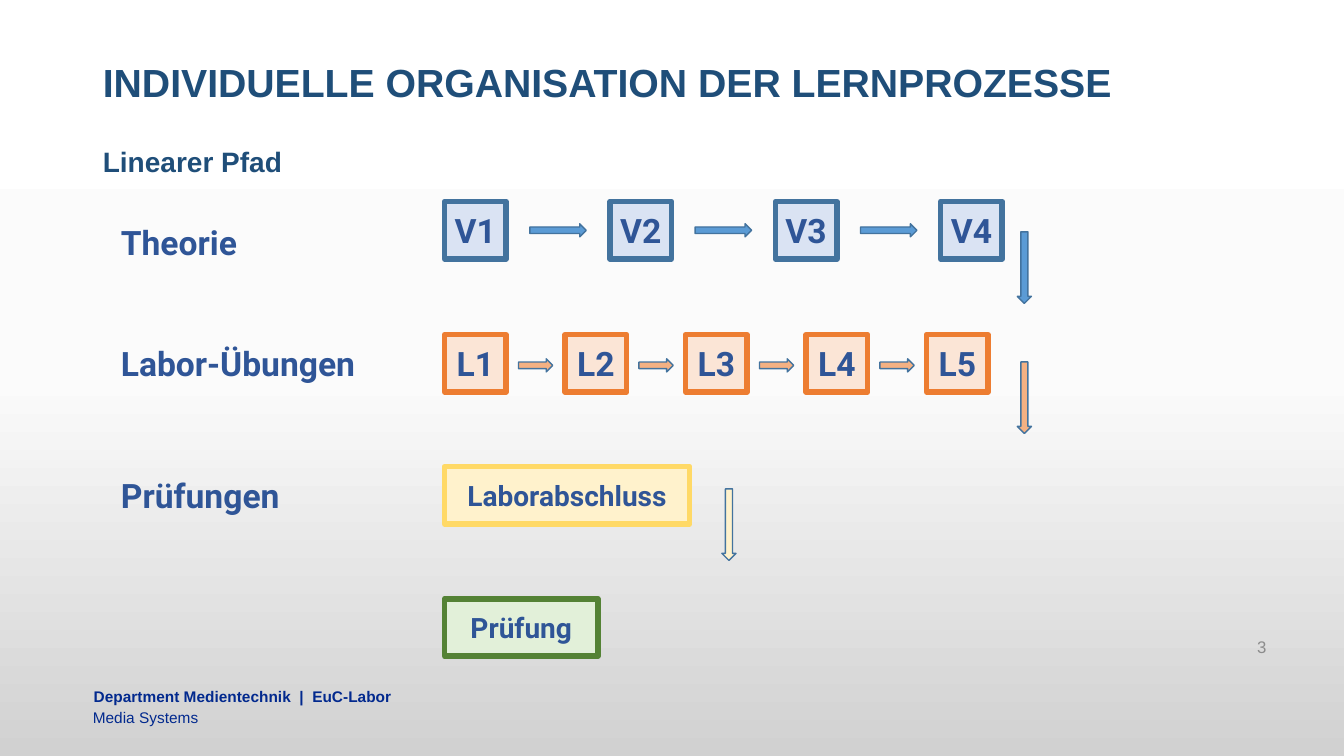
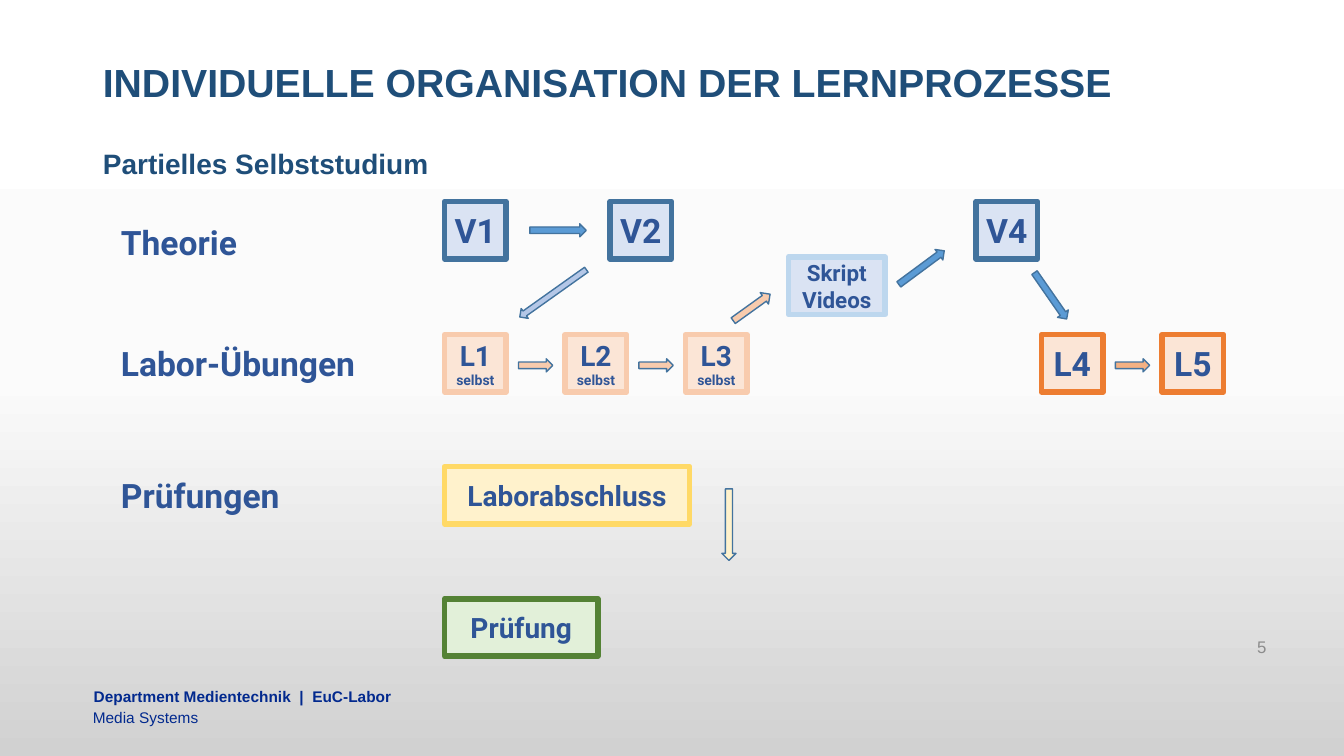
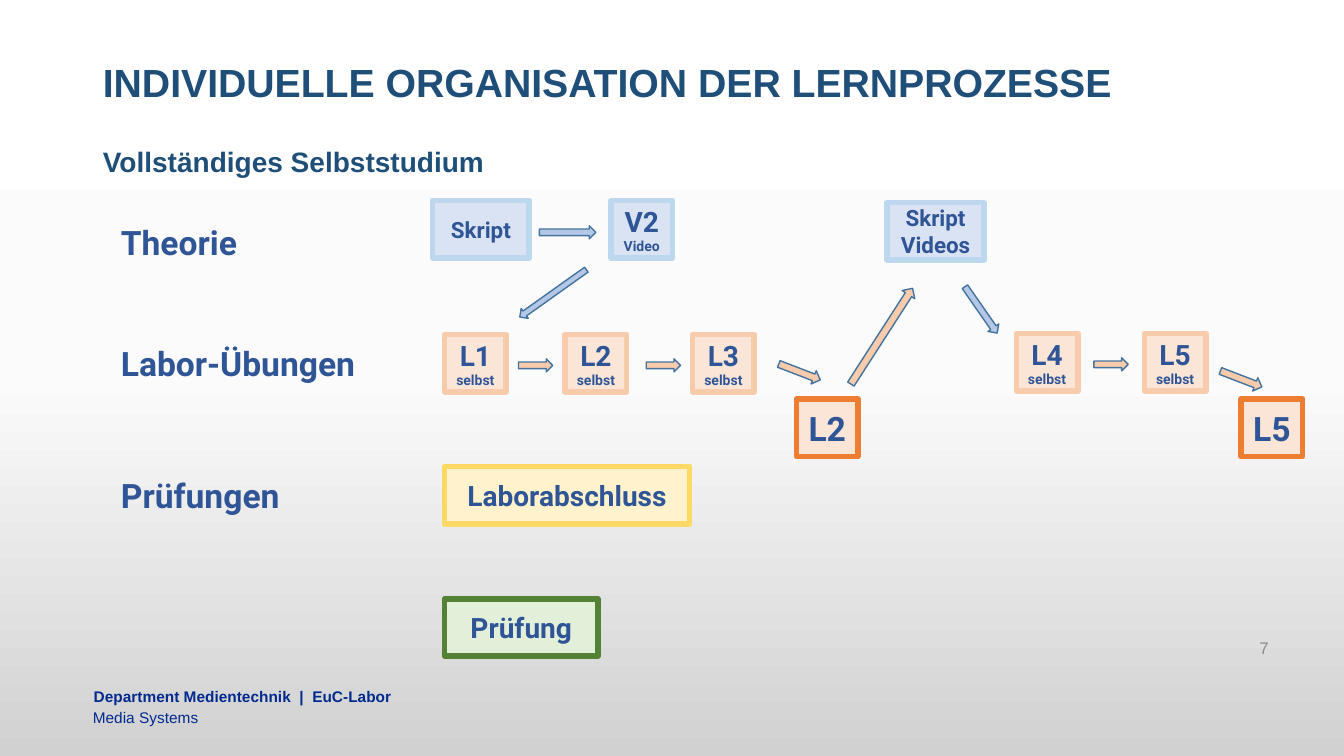
"""Builds three slides on linear, partly and fully self-directed learning paths."""
import copy

import pptx
import pptx.dml.color
import pptx.enum.shapes
import pptx.enum.text
import pptx.oxml.ns
import pptx.util

Inches, Pt = pptx.util.Inches, pptx.util.Pt
SHAPE = pptx.enum.shapes.MSO_SHAPE
ALIGN = pptx.enum.text.PP_ALIGN
ANCHOR = pptx.enum.text.MSO_ANCHOR

C = {
    "title": "1F4E79", "footer": "02298E", "number": "8C8C8C", "label": "2F5597",
    "blue": "5B9BD5", "blue_mid": "B4C7E7", "blue_soft": "BDD7EE", "blue_pale": "DAE3F3",
    "steel": "43739E", "orange": "ED7D31", "orange_mid": "F4B183",
    "orange_soft": "F8CBAD", "orange_pale": "FBE5D6", "yellow": "FFD966",
    "yellow_pale": "FFF2CC", "green": "548235", "green_pale": "E2F0D9",
}
BACKGROUND = [(0, "FFFFFF"), (0.5, "FBFBFB"), (1, "D1D1D1")]
TITLE = "INDIVIDUELLE ORGANISATION DER LERNPROZESSE"
FOOTER = [
    ("Department Medientechnik  |  EuC-Labor", True, (0.93, 6.82, 8.5, 0.2)),
    ("Media Systems", False, (0.92, 7.02, 8.52, 0.19)),
]
ROW_LABELS = [("Theorie", 2.15), ("Labor-Übungen", 3.35), ("Prüfungen", 4.66)]

LEFT, BOX_H, SMALL = 4.41, 0.57, 10
THEORY_Y, LAB_Y, TEST_Y, EXAM_Y = 2, 3.32, 4.63, 5.94
LAB_PITCH = 1.195

STYLES = {
    "lecture": dict(fill="blue_pale", line="steel", w=0.61, size=24,
                    arrow="blue", length=0.56, drop=0.22),
    "video": dict(fill="blue_pale", line="blue_soft", w=0.61, size=20),
    "script": dict(fill="blue_pale", line="blue_soft", w=0.96, size=16, sub=16),
    "lab": dict(fill="orange_pale", line="orange", w=0.61, size=24,
                arrow="orange_mid", length=0.34, drop=0.24),
    "self_lab": dict(fill="orange_pale", line="orange_soft", w=0.61, size=20,
                     arrow="orange_soft", length=0.34, drop=0.24),
    "lab_test": dict(fill="yellow_pale", line="yellow", w=2.43, size=20),
    "exam": dict(fill="green_pale", line="green", w=1.52, size=20),
}
TESTS = [
    ("lab_test", LEFT, TEST_Y, 0, ["Laborabschluss"]),
    ("exam", LEFT, EXAM_Y, 0, ["Prüfung"]),
]
TO_EXAM = ("yellow_pale", 7.16, 4.85, 0.14, 0.71, 0)
TO_LAB = ("blue_mid", 5.08, 2.85, 0.81, 0.12, 144.6)

SLIDES = [
    {
        "number": ("3", 9.55, 6.22), "subtitle": ("Linearer Pfad", 1.42),
        "chains": [
            ("lecture", LEFT, THEORY_Y, 1.64, ["V1", "V2", "V3", "V4"]),
            ("lab", LEFT, LAB_Y, LAB_PITCH, ["L1", "L2", "L3", "L4", "L5"]),
        ],
        "arrows": [
            ("blue", 10.09, 2.3, 0.14, 0.71, 0),
            ("orange_mid", 10.09, 3.59, 0.14, 0.71, 0),
            TO_EXAM,
        ],
    },
    {
        "number": ("5", 9.55, 6.22), "subtitle": ("Partielles Selbststudium", 1.44),
        "chains": [
            ("lecture", LEFT, THEORY_Y, 1.64, ["V1", "V2"]),
            ("script", 7.82, 2.55, 0, ["Skript\nVideos"]),
            ("lecture", 9.68, THEORY_Y, 0, ["V4"]),
            ("self_lab", LEFT, LAB_Y, LAB_PITCH, ["L1\nselbst", "L2\nselbst", "L3\nselbst"]),
            ("lab", 10.33, LAB_Y, LAB_PITCH, ["L4", "L5"]),
        ],
        "arrows": [
            TO_LAB,
            ("orange_soft", 7.23, 2.98, 0.45, 0.14, 324.3),
            ("blue", 8.86, 2.59, 0.56, 0.13, 323.5),
            ("blue", 10.14, 2.87, 0.56, 0.13, 55.2),
            TO_EXAM,
        ],
    },
    {
        "number": ("7", 9.57, 6.23), "subtitle": ("Vollständiges Selbststudium", 1.42),
        "chains": [
            ("script", 4.29, 1.99, 0, ["Skript"]),
            ("video", 6.06, 1.99, 0, ["V2\nVideo"]),
            ("script", 8.8, 2.01, 0, ["Skript\nVideos"]),
            ("self_lab", LEFT, LAB_Y, LAB_PITCH, ["L1\nselbst", "L2\nselbst"]),
            ("self_lab", 6.87, LAB_Y, 0, ["L3\nselbst"]),
            ("lab", 7.9, 3.96, 0, ["L2"]),
            ("self_lab", 10.08, 3.31, 1.27, ["L4\nselbst", "L5\nselbst"]),
            ("lab", 12.31, 3.96, 0, ["L5"]),
        ],
        "arrows": [
            ("blue_mid", 5.35, 2.24, 0.56, 0.13, 0),
            TO_LAB,
            ("orange_soft", 6.41, 3.56, 0.34, 0.13, 0),
            ("orange_soft", 7.71, 3.62, 0.44, 0.14, 21.1),
            ("orange_soft", 8.18, 3.26, 1.13, 0.15, 302.8),
            ("blue_mid", 9.45, 3.01, 0.56, 0.13, 55.2),
            ("orange_soft", 12.09, 3.69, 0.44, 0.14, 21.1),
        ],
    },
]


def rgb(value):
    return pptx.dml.color.RGBColor.from_string(value)


def place(sp, x, y, w, h):
    sp.left, sp.top, sp.width, sp.height = map(Inches, (x, y, w, h))


def write(p, text, size, color, font="Arial", bold=True, align=ALIGN.LEFT):
    p.alignment = align
    r = p.add_run()
    r.text = text
    r.font.name, r.font.size, r.font.bold = font, Pt(size), bold
    r.font.color.rgb = rgb(C[color])


def add_text(s, box, text, size, color, anchor=ANCHOR.TOP, inset=True, **look):
    sp = s.shapes.add_textbox(*map(Inches, box))
    tf = sp.text_frame
    tf.word_wrap, tf.vertical_anchor = True, anchor
    if not inset:
        tf.margin_left = tf.margin_right = tf.margin_top = tf.margin_bottom = 0
    write(tf.paragraphs[0], text, size, color, **look)
    return sp


def add_shape(s, preset, box, fill, line, width):
    sp = s.shapes.add_shape(preset, *map(Inches, box))
    sp.shadow.inherit = False
    sp.fill.solid()
    sp.fill.fore_color.rgb = rgb(C[fill])
    sp.line.color.rgb = rgb(C[line])
    sp.line.width = Pt(width)
    return sp


def add_arrow(s, fill, x, y, w, h, angle):
    preset = SHAPE.DOWN_ARROW if h > w else SHAPE.RIGHT_ARROW
    add_shape(s, preset, (x, y, w, h), fill, "steel", 1).rotation = angle


def add_chain(s, style, x, y, pitch, labels):
    look = STYLES[style]
    w = look["w"]
    for i, label in enumerate(labels):
        left = x + i * pitch
        sp = add_shape(s, SHAPE.RECTANGLE, (left, y, w, BOX_H), look["fill"], look["line"], 4)
        tf = sp.text_frame
        tf.margin_left = tf.margin_right = tf.margin_top = tf.margin_bottom = 0
        tf.vertical_anchor = ANCHOR.MIDDLE
        for n, text in enumerate(label.split("\n")):
            p = tf.add_paragraph() if n else tf.paragraphs[0]
            size = look.get("sub", SMALL) if n else look["size"]
            write(p, text, size, "label", font="Roboto", align=ALIGN.CENTER)
        if i < len(labels) - 1:
            start = left + (pitch + w - look["length"]) / 2
            add_arrow(s, look["arrow"], start, y + look["drop"], look["length"], 0.13, 0)


def set_background(master):
    fill = master.background.fill
    fill.gradient()
    fill.gradient_angle = 270
    gs_list = next(master.element.iter(pptx.oxml.ns.qn("a:gsLst")))
    gs_list.append(copy.deepcopy(gs_list[0]))
    for stop, (position, color) in zip(fill.gradient_stops, BACKGROUND):
        stop.position, stop.color.rgb = position, rgb(color)


def set_layout(layout):
    title, body, *unused = layout.placeholders
    place(title, 0.92, 0.35, 11.5, 0.98)
    place(body, 0.92, 1.42, 11.5, 0.5)
    for sp in unused:
        layout.shapes.element.remove(sp.element)


def add_footer(s, layout):
    boxes = [add_text(s, box, text, 11, "footer", inset=False, bold=bold)
             for text, bold, box in FOOTER]
    for sp in boxes:
        layout.shapes.element.append(sp.element)


def fill_placeholder(sp, text, size, anchor):
    tf = sp.text_frame
    tf.auto_size = pptx.enum.text.MSO_AUTO_SIZE.NONE
    tf.vertical_anchor = anchor
    p = tf.paragraphs[0]
    p_pr = p._p.get_or_add_pPr()
    p_pr.set("marL", "0")
    p_pr.set("indent", "0")
    p_pr.append(pptx.oxml.parse_xml("<a:buNone %s/>" % pptx.oxml.ns.nsdecls("a")))
    p.line_spacing, p.space_before = 0.9, Pt(0)
    write(p, text, size, "title")


def add_slide(prs, layout, content):
    s = prs.slides.add_slide(layout)
    title, body = s.placeholders
    fill_placeholder(title, TITLE, 28, ANCHOR.MIDDLE)
    subtitle, y = content["subtitle"]
    place(body, 0.92, y, 11.5, 0.5)
    fill_placeholder(body, subtitle, 20, ANCHOR.TOP)
    number, x, y = content["number"]
    add_text(s, (x, y, 3.11, 0.4), number, 12, "number", ANCHOR.MIDDLE,
             bold=False, align=ALIGN.RIGHT)
    for text, y in ROW_LABELS:
        add_text(s, (1.1, y, 3.05, 0.5), text, 24, "label", font="Roboto")
    for chain in content["chains"] + TESTS:
        add_chain(s, *chain)
    for arrow in content["arrows"]:
        add_arrow(s, *arrow)
    return s


def main():
    prs = pptx.Presentation()
    prs.slide_width, prs.slide_height = Inches(13.33), Inches(7.5)
    layout = prs.slide_layouts[1]
    set_background(prs.slide_master)
    set_layout(layout)
    slides = [add_slide(prs, layout, content) for content in SLIDES]
    add_footer(slides[0], layout)
    prs.save("out.pptx")


if __name__ == "__main__":
    main()
